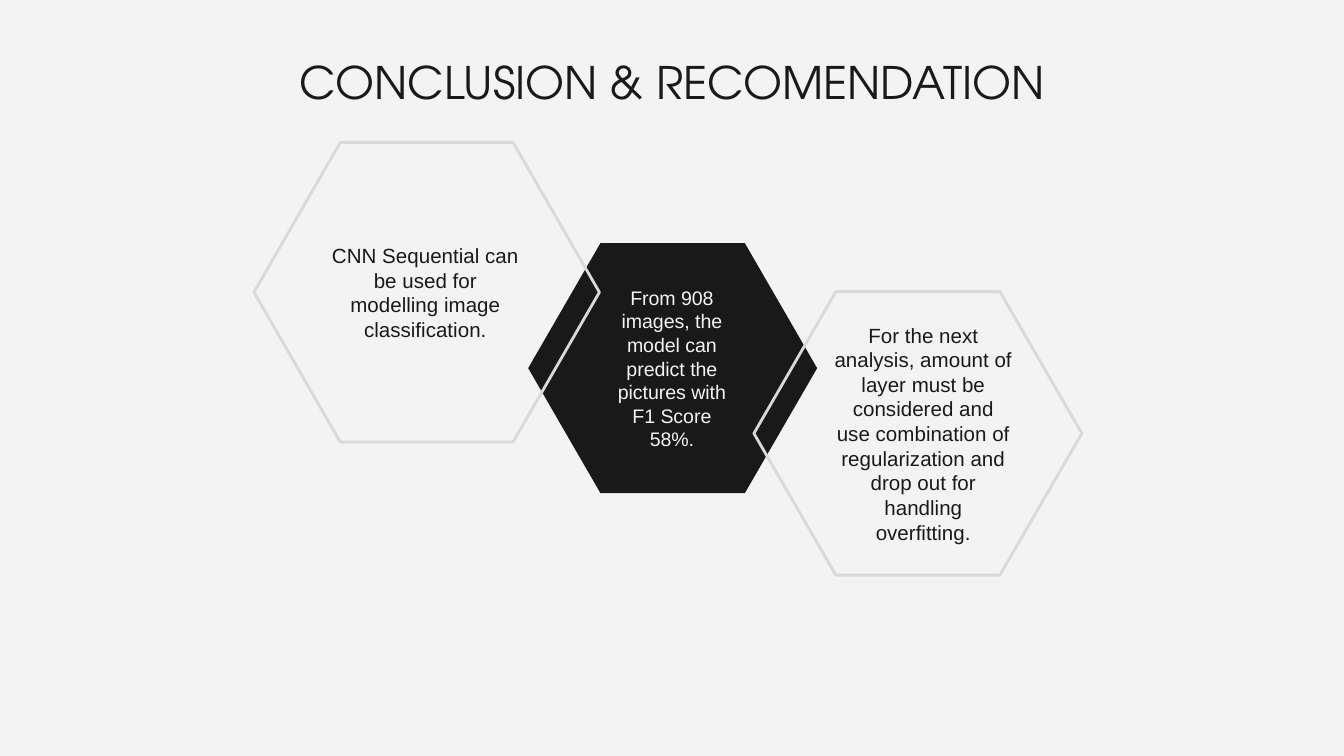
from dataclasses import dataclass

from pptx import Presentation
from pptx.dml.color import RGBColor
from pptx.enum.shapes import MSO_SHAPE
from pptx.enum.text import MSO_ANCHOR, MSO_AUTO_SIZE, PP_ALIGN
from pptx.slide import Slide
from pptx.text.text import TextFrame
from pptx.util import Inches, Pt

HEXAGON = MSO_SHAPE.HEXAGON
TOP, MIDDLE = MSO_ANCHOR.TOP, MSO_ANCHOR.MIDDLE
NO_FIT = MSO_AUTO_SIZE.NONE
CENTER = PP_ALIGN.CENTER

COLORS = {"paper": "F3F3F3", "ink": "191919", "edge": "D9D9D9"}
WIDTH = Inches(10)
HEIGHT = WIDTH * 9 // 16
INSET = Inches(0.1)
LEADING = 1.2


@dataclass
class Hexagon:
    left: float
    top: float
    width: float
    height: float
    text: str
    text_left: float
    text_width: float
    size: float = 11
    dark: bool = False


DARK = Hexagon(3.93, 1.81, 2.15, 1.86,
               "From 908 images, the model can predict the pictures with F1 Score 58%.",
               4.47, 1.06, size=10.5, dark=True)
LEFT = Hexagon(1.89, 1.06, 2.57, 2.23,
               "CNN Sequential can be used for modelling image classification.",
               2.35, 1.63)
RIGHT = Hexagon(5.61, 2.17, 2.44, 2.11,
                "For the next analysis, amount of layer must be considered and use "
                "combination of regularization and drop out for handling overfitting.",
                6.11, 1.52)


def color(name: str) -> RGBColor:
    return RGBColor.from_string(COLORS[name])


def write(frame: TextFrame, text: str, *, size: float, font: str = "Arial",
          ink: str = "ink", anchor: MSO_ANCHOR = MIDDLE,
          leading: float | None = None) -> None:
    """Fill a frame with one centred paragraph; leading is a multiple of size."""
    frame.word_wrap = True
    frame.auto_size = NO_FIT
    frame.vertical_anchor = anchor
    frame.margin_left = frame.margin_right = INSET
    frame.margin_top = frame.margin_bottom = INSET
    line = frame.paragraphs[0]
    line.alignment = CENTER
    if leading:
        line.line_spacing = Pt(size * leading)
    run = line.add_run()
    run.text = text
    run.font.size = Pt(size)
    run.font.name = font
    run.font.color.rgb = color(ink)


def draw_shape(slide: Slide, hexa: Hexagon) -> None:
    shape = slide.shapes.add_shape(HEXAGON, Inches(hexa.left), Inches(hexa.top),
                                   Inches(hexa.width), Inches(hexa.height))
    # The slanted sides each take a quarter of the width.
    shape.adjustments[0] = hexa.width / hexa.height / 4
    shape.shadow.inherit = False
    if hexa.dark:
        shape.fill.solid()
        shape.fill.fore_color.rgb = color("ink")
        shape.line.fill.background()
    else:
        shape.fill.background()
        shape.line.color.rgb = color("edge")
        shape.line.width = Pt(1.5)


def draw_text(slide: Slide, hexa: Hexagon) -> None:
    box = slide.shapes.add_textbox(Inches(hexa.text_left), Inches(hexa.top),
                                   Inches(hexa.text_width), Inches(hexa.height))
    write(box.text_frame, hexa.text, size=hexa.size, leading=LEADING,
          ink="paper" if hexa.dark else "ink")


def main() -> None:
    deck = Presentation()
    deck.slide_width, deck.slide_height = WIDTH, HEIGHT
    slide = deck.slides.add_slide(deck.slide_layouts.get_by_name("Title Only"))
    slide.background.fill.solid()
    slide.background.fill.fore_color.rgb = color("paper")

    title = slide.shapes.title
    title.left, title.top = Inches(0), Inches(0.31)
    title.width, title.height = WIDTH, Inches(0.75)
    write(title.text_frame, "CONCLUSION & RECOMENDATION", size=24,
          font="TeX Gyre Adventor", anchor=TOP)

    # The dark hexagon lies below the outlines that overlap it.
    for hexa in (DARK, LEFT, RIGHT):
        draw_shape(slide, hexa)
    for hexa in (LEFT, RIGHT, DARK):
        draw_text(slide, hexa)

    deck.save("out.pptx")


if __name__ == "__main__":
    main()
